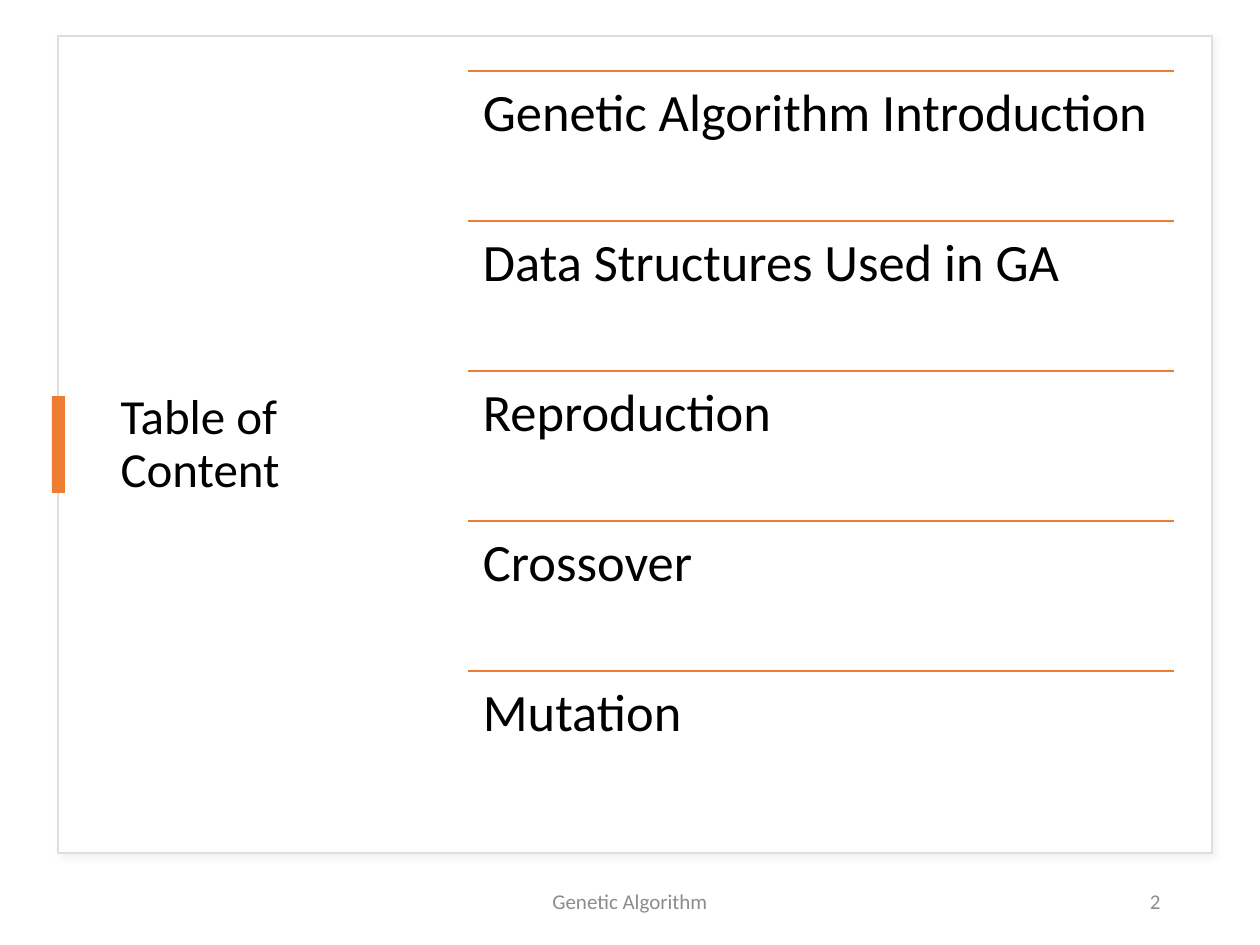
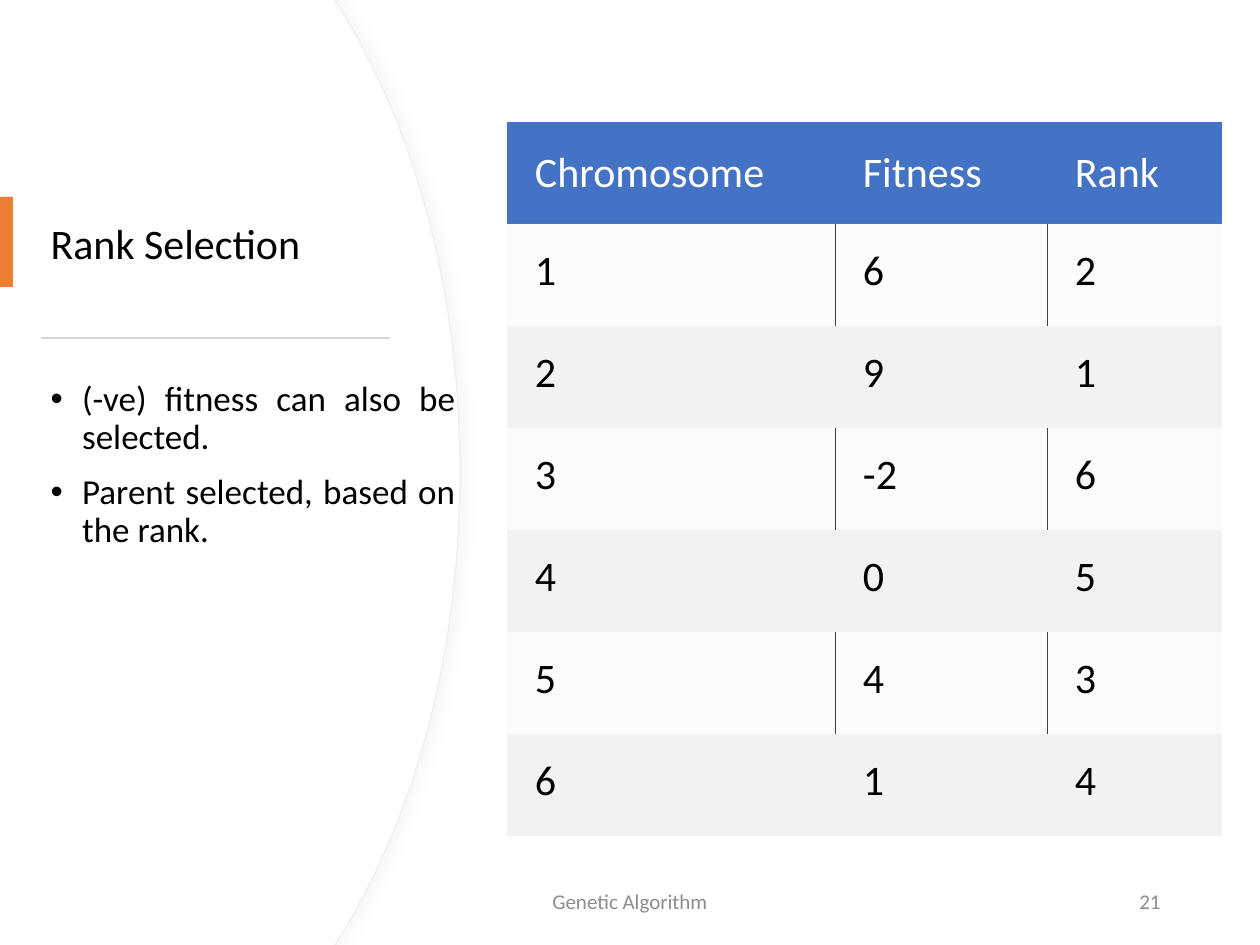
from lxml import etree
from pptx import Presentation
from pptx.dml.color import RGBColor
from pptx.enum.shapes import MSO_CONNECTOR, MSO_SHAPE
from pptx.enum.text import MSO_ANCHOR, PP_ALIGN
from pptx.oxml.ns import qn
from pptx.util import Pt

# Content
FOOTER = "Genetic Algorithm"
TOPICS = [
    "Genetic Algorithm Introduction",
    "Data Structures Used in GA",
    "Reproduction",
    "Crossover",
    "Mutation",
]
NOTES = [
    "(-ve) fitness can also be selected.",
    "Parent selected, based on the rank.",
]
RANKS = [
    ("Chromosome", "Fitness", "Rank"),
    ("1", "6", "2"),
    ("2", "9", "1"),
    ("3", "-2", "6"),
    ("4", "0", "5"),
    ("5", "4", "3"),
    ("6", "1", "4"),
]

# Look
FONT = "Calibri"
BLACK = RGBColor(0, 0, 0)
WHITE = RGBColor(255, 255, 255)
ORANGE = RGBColor(0xED, 0x7D, 0x31)
BLUE = RGBColor(0x44, 0x72, 0xC4)
GRAY = RGBColor(0x8C, 0x8C, 0x8C)
FRAME = RGBColor(0xDE, 0xDE, 0xDE)
EDGE = RGBColor(0xEF, 0xEF, 0xEF)
RULE = RGBColor(0xD5, 0xD5, 0xD5)
BAND = RGBColor(0xF2, 0xF2, 0xF2)
GRID = RGBColor(0x40, 0x40, 0x40)
LEFT, CENTER, RIGHT = PP_ALIGN.LEFT, PP_ALIGN.CENTER, PP_ALIGN.RIGHT
JUSTIFY = PP_ALIGN.JUSTIFY
TOP, MIDDLE = MSO_ANCHOR.TOP, MSO_ANCHOR.MIDDLE
RECT, LINE = MSO_SHAPE.RECTANGLE, MSO_CONNECTOR.STRAIGHT
NO_GRID = "{2D5ABB26-0587-4C30-8999-92F81FD0307C}"
TITLE_BODY, TITLE_ONLY = 1, 5
SCALE = 914400 / 126
WIDE, HIGH = 1260, 945


def px(*nums):
    return [round(n * SCALE) for n in nums]


def add(parent, tag, **attrs):
    node = etree.SubElement(parent, qn(tag))
    for key, val in attrs.items():
        node.set(key, str(val))
    return node


# Text
def write(frame, lines, size, color=BLACK, align=LEFT, anchor=TOP,
          space=None, inset=None, bullet=False, gap=0):
    frame.word_wrap = True
    frame.vertical_anchor = anchor
    if inset:
        for side in ("left", "top", "right", "bottom"):
            setattr(frame, "margin_" + side, px(inset)[0])
    for i, line in enumerate(lines):
        para = frame.add_paragraph() if i else frame.paragraphs[0]
        if bullet:
            props = para._p.get_or_add_pPr()
            props.set("marL", "228600")
            props.set("indent", "-228600")
            add(props, "a:buFont", typeface="Arial")
            add(props, "a:buChar", char="•")
        look = {"alignment": align, "line_spacing": space,
                "space_before": Pt(gap if i else 0)}
        for key, val in look.items():
            setattr(para, key, val)
        run = para.add_run()
        run.text = line
        for key, val in {"name": FONT, "size": Pt(size), "bold": False}.items():
            setattr(run.font, key, val)
        run.font.color.rgb = color


def label(slide, box, lines, size, **look):
    write(slide.shapes.add_textbox(*px(*box)).text_frame, lines, size, **look)


def place(slide, index, box, lines, size, **look):
    holder = slide.placeholders[index]
    holder.left, holder.top, holder.width, holder.height = px(*box)
    write(holder.text_frame, lines, size, space=0.9, **look)
    slide.shapes._spTree.append(holder._element)


def footer(slide, number):
    for box, text, align in (((417, 876, 426, 50), FOOTER, CENTER),
                             ((890, 876, 283, 50), number, RIGHT)):
        label(slide, box, [text], 12, color=GRAY, align=align, anchor=MIDDLE)


# Shapes
def paint(shape, fill, line=None, width=1):
    shape.shadow.inherit = False
    shape.fill.solid()
    shape.fill.fore_color.rgb = fill
    if line is None:
        shape.line.fill.background()
    else:
        shape.line.color.rgb = line
        shape.line.width = Pt(width)


def block(slide, box, fill, line=None):
    shape = slide.shapes.add_shape(RECT, *px(*box))
    paint(shape, fill, line)
    return shape


def shade(shape, color, blur, dist, angle):
    effects = shape._element.spPr.find(qn("a:effectLst"))
    outer = add(effects, "a:outerShdw", blurRad=Pt(blur), dist=Pt(dist),
                dir=angle * 60000, algn="tl", rotWithShape=0)
    add(add(outer, "a:srgbClr", val=color), "a:alpha", val=22000)


def bend(shape, first, count):
    """Turn runs of three line steps into cubic curves."""
    steps = list(shape._element.spPr.iter(qn("a:lnTo")))
    for i in range(first, first + 3 * count, 3):
        cubic = etree.Element(qn("a:cubicBezTo"))
        steps[i].addprevious(cubic)
        for step in steps[i:i + 3]:
            cubic.append(step[0])
            step.getparent().remove(step)


def panel(slide):
    upper = [(335, 0), (341, 10), (415, 129), (460, 292), (460, HIGH / 2)]
    points = upper + [(x, HIGH - y) for x, y in reversed(upper[:-1])]
    for line, shift in ((EDGE, 0), (None, 1)):
        maker = slide.shapes.build_freeform(0, 0, scale=SCALE)
        maker.add_line_segments([(x - shift, y) for x, y in points] + [(0, HIGH)],
                                close=True)
        shape = maker.convert_to_shape()
        bend(shape, 2, 2)
        paint(shape, WHITE, line, 0.75)
        if line:
            shade(shape, "D9D9D9", 7, 3, 0)


# Table
def border(side):
    line = etree.Element(qn("a:ln" + side), w=str(Pt(0.5)))
    add(add(line, "a:solidFill"), "a:srgbClr", val=str(GRID))
    return line


def table(slide, left, top, cols, high):
    frame = slide.shapes.add_table(len(RANKS), len(cols),
                                   *px(left, top, sum(cols), high * len(RANKS)))
    grid = frame.table
    grid._tbl.tblPr.find(qn("a:tableStyleId")).text = NO_GRID
    grid.horz_banding = False
    for col, wide in zip(grid.columns, cols):
        col.width = px(wide)[0]
    for r, row in enumerate(RANKS):
        grid.rows[r].height = px(high)[0]
        for c, text in enumerate(row):
            cell = grid.cell(r, c)
            write(cell.text_frame, [text], 24, color=BLACK if r else WHITE)
            cell.vertical_anchor = TOP if r else MIDDLE
            cell.margin_left = px(28)[0]
            cell.margin_top = px(22 if r else 21)[0]
            cell.margin_right = cell.margin_bottom = px(21)[0]
            cell.fill.solid()
            cell.fill.fore_color.rgb = BAND if r else BLUE
            if r % 2:
                props = cell._tc.tcPr
                add(next(props.iter(qn("a:srgbClr"))), "a:alpha", val=30000)
                sides = ("L" if c else "") + ("R" if c < len(cols) - 1 else "")
                for i, side in enumerate(sides):
                    props.insert(i, border(side))


# Slides
def contents(slide):
    frame = block(slide, (58, 36, 1154, 817), WHITE, FRAME)
    shade(frame, "C5C3C3", 4, 3, 45)
    place(slide, 0, (108, 70, 310, 750), ["Table of Content"], 28, anchor=MIDDLE)
    block(slide, (52, 396, 13, 97), ORANGE)
    left, top, wide, step = 468, 71, 706, 150
    for i, topic in enumerate(TOPICS):
        y = top + i * step
        rule = slide.shapes.add_connector(LINE, *px(left, y, left + wide, y))
        rule.line.color.rgb = ORANGE
        rule.line.width = Pt(1)
        add(rule._element.spPr, "a:effectLst")
        label(slide, (left, y, wide, step), [topic], 30, space=0.9, inset=15)
    footer(slide, "2")


def ranking(slide):
    panel(slide)
    place(slide, 0, (38, 161, 355, 170), ["Rank Selection"], 24, anchor=MIDDLE)
    block(slide, (0, 197, 13, 90), ORANGE)
    block(slide, (41, 337, 349, 2), RULE)
    place(slide, 1, (38, 375, 430, 442), NOTES, 20, align=JUSTIFY,
          bullet=True, gap=10)
    table(slide, 507, 122, (328, 212, 175), 102)
    footer(slide, "21")


def main():
    deck = Presentation()
    deck.slide_width, deck.slide_height = px(WIDE, HIGH)
    for build, layout in ((contents, TITLE_ONLY), (ranking, TITLE_BODY)):
        build(deck.slides.add_slide(deck.slide_layouts[layout]))
    deck.save("out.pptx")


if __name__ == "__main__":
    main()
